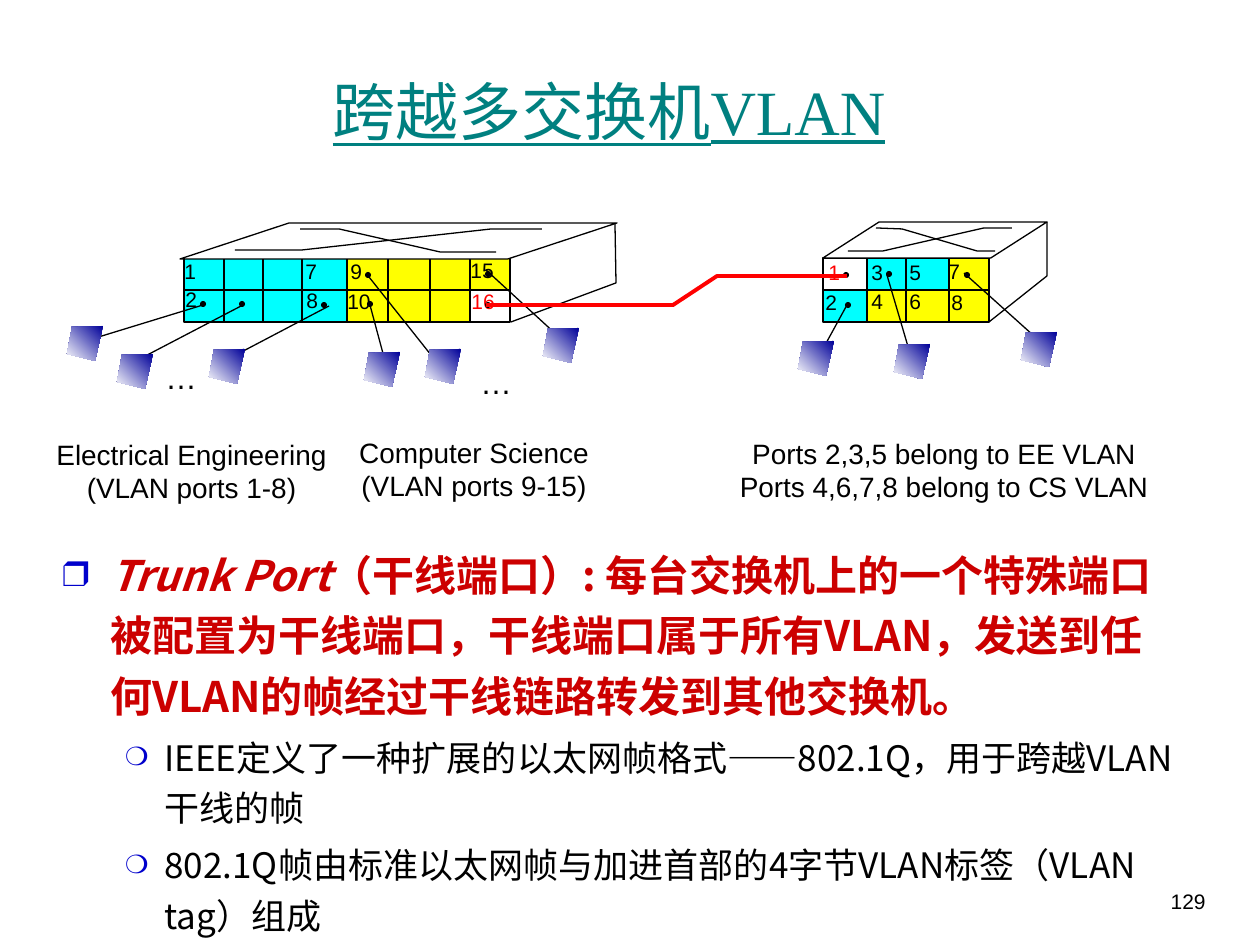
from dataclasses import dataclass
from typing import NamedTuple

from lxml.etree import SubElement
from pptx import Presentation
from pptx.dml.color import RGBColor
from pptx.enum.shapes import MSO_CONNECTOR, MSO_SHAPE
from pptx.enum.text import MSO_ANCHOR, MSO_AUTO_SIZE, PP_ALIGN
from pptx.oxml.ns import qn
from pptx.util import Pt

SCALE = 914400 / 126  # EMU in one px


@dataclass(frozen=True)
class Theme:
    black: str = "000000"
    white: str = "FFFFFF"
    cyan: str = "00FFFF"
    yellow: str = "FFFF00"
    red: str = "FF0000"
    navy: str = "000099"
    title: str = "008080"
    emphasis: str = "CC0000"
    bullet: str = "0000CC"
    sans: str = "Arial"
    serif: str = "Times New Roman"
    chinese: str = "Noto Sans CJK SC"
    title_size: int = 36
    lead_size: int = 24
    body_size: int = 20
    ellipsis_size: int = 18
    caption_size: int = 16
    small_size: int = 12
    thin: float = 0.75
    thick: float = 2.25


THEME = Theme()


class Point(NamedTuple):
    x: int
    y: int


class Box(NamedTuple):
    left: int
    top: int
    width: int
    height: int


class Cells(NamedTuple):
    """A filled block of ports, by column and row boundary."""
    first_column: int
    last_column: int
    first_row: int
    last_row: int
    color: str


@dataclass(frozen=True)
class Switch:
    columns: tuple
    rows: tuple
    first_divider: int
    cells: tuple
    roof: Box
    slant: float
    open_lines: tuple


class Station(NamedTuple):
    dot: Point
    wire_start: Point
    wire_end: Point
    computer: Point


class Label(NamedTuple):
    text: str
    left: int
    top: int
    color: str = THEME.black


class Item(NamedTuple):
    runs: tuple  # (text, italic)
    level: int
    bullet: str
    bullet_percent: int
    margin: int
    hanging: int
    size: int
    color: str
    bold: bool
    space_before: int


def px(value: float) -> int:
    return round(value * SCALE)


def style_shape(shape, fill=None, line=None, width=THEME.thin) -> None:
    shape.shadow.inherit = False
    if fill:
        shape.fill.solid()
        shape.fill.fore_color.rgb = RGBColor.from_string(fill)
    else:
        shape.fill.background()
    if line:
        shape.line.color.rgb = RGBColor.from_string(line)
        shape.line.width = Pt(width)
    else:
        shape.line.fill.background()


def add_preset(slide, kind, box: Box, **style):
    shape = slide.shapes.add_shape(kind, *map(px, box))
    style_shape(shape, **style)
    return shape


def add_outline(slide, points, close=False, **style):
    builder = slide.shapes.build_freeform(*points[0], scale=SCALE)
    builder.add_line_segments(points[1:], close=close)
    shape = builder.convert_to_shape()
    style_shape(shape, **style)
    return shape


def add_line(slide, start, end, joined=None, sites=(0, 2)) -> None:
    line = slide.shapes.add_connector(MSO_CONNECTOR.STRAIGHT, *map(px, (*start, *end)))
    line.line.color.rgb = RGBColor.from_string(THEME.black)
    line.line.width = Pt(THEME.thin)
    SubElement(line._element.spPr, qn("a:effectLst"))
    if joined is not None:
        line.begin_connect(joined, sites[0])
        line.end_connect(joined, sites[1])


def add_run(paragraph, text, *, size, color, font=THEME.sans, bold=False,
            italic=False, underline=False) -> None:
    run = paragraph.add_run()
    run.text = text
    run.font.size, run.font.name = Pt(size), font
    run.font.bold, run.font.italic, run.font.underline = bold, italic, underline
    run.font.color.rgb = RGBColor.from_string(color)
    east_asian = THEME.chinese if font != THEME.sans else font
    SubElement(run._r.get_or_add_rPr(), qn("a:ea"), typeface=east_asian)


def add_text(slide, text, box: Box, *, align=PP_ALIGN.LEFT, anchor=MSO_ANCHOR.TOP,
             wrap=False, color=THEME.black, **font):
    shape = slide.shapes.add_textbox(*map(px, box))
    frame = shape.text_frame
    frame.word_wrap, frame.vertical_anchor = wrap, anchor
    frame.auto_size = MSO_AUTO_SIZE.NONE if wrap else MSO_AUTO_SIZE.SHAPE_TO_FIT_TEXT
    for index, line in enumerate(text.split("\n")):
        paragraph = frame.paragraphs[0] if index == 0 else frame.add_paragraph()
        paragraph.alignment = align
        if line:
            add_run(paragraph, line, color=color, **font)
    return shape


def add_items(slide, items, box: Box) -> None:
    frame = add_text(slide, "", box, wrap=True).text_frame
    for index, item in enumerate(items):
        paragraph = frame.paragraphs[0] if index == 0 else frame.add_paragraph()
        paragraph.level, paragraph.line_spacing = item.level, 1.2
        paragraph.space_before = Pt(item.space_before)
        properties = paragraph._p.get_or_add_pPr()
        properties.set("marL", str(px(item.margin)))
        properties.set("indent", str(-px(item.hanging)))
        SubElement(SubElement(properties, qn("a:buClr")), qn("a:srgbClr"), val=THEME.bullet)
        SubElement(properties, qn("a:buSzPct"), val=str(item.bullet_percent * 1000))
        SubElement(properties, qn("a:buFont"), typeface=THEME.serif)
        SubElement(properties, qn("a:buChar"), char=item.bullet)
        for text, italic in item.runs:
            add_run(paragraph, text, size=item.size, color=item.color,
                    font=THEME.chinese, bold=item.bold, italic=italic)


def add_switch(slide, switch: Switch) -> None:
    columns, rows = switch.columns, switch.rows
    for cells in switch.cells:
        left, top = columns[cells.first_column], rows[cells.first_row]
        box = Box(left, top, columns[cells.last_column] - left, rows[cells.last_row] - top)
        add_preset(slide, MSO_SHAPE.RECTANGLE, box, fill=cells.color)
    front = add_preset(slide, MSO_SHAPE.RECTANGLE, Box(
        columns[0], rows[0], columns[-1] - columns[0], rows[-1] - rows[0]), line=THEME.black)
    add_line(slide, (columns[0], rows[1]), (columns[-1], rows[1]), front, (1, 3))
    for x in columns[switch.first_divider:-1]:
        is_middle = 2 * x == columns[0] + columns[-1]
        add_line(slide, (x, rows[0]), (x, rows[-1]), front if is_middle else None)
    roof = add_preset(slide, MSO_SHAPE.PARALLELOGRAM, switch.roof,
                      fill=THEME.white, line=THEME.black)
    roof.adjustments[0] = switch.slant
    for points in switch.open_lines:
        add_outline(slide, points, line=THEME.black)


def add_dot(slide, corner: Point) -> None:
    add_preset(slide, MSO_SHAPE.OVAL, Box(*corner, 6, 6), fill=THEME.black)


def add_computer(slide, corner: Point) -> None:
    offsets = ((36, 0), (5, 1), (0, 28), (28, 35))
    shape = add_outline(slide, [(corner.x + x, corner.y + y) for x, y in offsets], close=True)
    shape.fill.gradient()
    shape.fill.gradient_angle = 225
    for stop, color in zip(shape.fill.gradient_stops, (THEME.navy, THEME.white)):
        stop.color.rgb = RGBColor.from_string(color)


C, Y = THEME.cyan, THEME.yellow
SWITCHES = (
    Switch((184, 224, 263, 302, 347, 388, 430, 470, 510), (258, 290, 322), 0,
           (Cells(0, 1, 0, 1, C), Cells(0, 1, 1, 2, C), Cells(1, 4, 0, 2, C),
            Cells(4, 7, 0, 2, Y), Cells(7, 8, 0, 1, Y)),
           Box(180, 223, 437, 36), 3.03,
           (((511, 322), (616, 283), (615, 223)),
            ((235, 250), (302, 250), (491, 229), (542, 229)),
            ((300, 229), (339, 229), (440, 252), (496, 252)))),
    Switch((823, 867, 906, 949, 989), (258, 290, 322), 1,
           (Cells(0, 1, 1, 2, C), Cells(1, 2, 0, 1, C), Cells(1, 2, 1, 2, Y),
            Cells(2, 3, 0, 1, C), Cells(2, 3, 1, 2, Y), Cells(3, 4, 0, 1, Y),
            Cells(3, 4, 1, 2, Y)),
           Box(823, 222, 224, 36), 1.56,
           (((1047, 222), (1047, 276), (989, 322)),
            ((848, 251), (883, 251), (984, 228), (1012, 228)),
            ((876, 228), (902, 229), (977, 251), (995, 251)))),
)
STATIONS = [Station(*(Point(*pair) for pair in row)) for row in (
    ((200, 301), (203, 305), (79, 343), (67, 326)),
    ((239, 301), (243, 305), (132, 363), (117, 354)),
    ((321, 302), (329, 306), (232, 357), (209, 349)),
    ((367, 301), (370, 305), (384, 357), (364, 352)),
    ((365, 272), (369, 277), (435, 360), (425, 349)),
    ((485, 271), (486, 270), (558, 336), (543, 328)),
    ((845, 302), (847, 305), (824, 347), (798, 341)),
    ((886, 271), (887, 275), (912, 360), (894, 344)),
    ((964, 272), (964, 273), (1034, 336), (1021, 332)),
)]
LABELS = (
    Label("1", 172, 252), Label("2", 173, 280), Label("7", 293, 252), Label("8", 294, 281),
    Label("9", 338, 252), Label("10", 335, 282), Label("15", 458, 251),
    Label("16", 459, 282, THEME.red), Label("1", 816, 253, THEME.red), Label("2", 813, 283),
    Label("3", 859, 253), Label("4", 859, 282), Label("5", 897, 253), Label("6", 897, 282),
    Label("7", 936, 252), Label("8", 939, 283),
)
CAPTIONS = (
    ("Electrical Engineering\n(VLAN ports 1-8)", Box(42, 431, 299, 81)),
    ("Computer Science\n(VLAN ports 9-15)", Box(345, 429, 258, 81)),
    ("Ports 2,3,5 belong to EE VLAN\nPorts 4,6,7,8 belong to CS VLAN", Box(725, 430, 438, 81)),
)
LEAD = (("Trunk Port", True), ("（干线端口）: 每台交换机上的一个特殊端口被配置为干线端口，"
        "干线端口属于所有VLAN，发送到任何VLAN的帧经过干线链路转发到其他交换机。", False))
DETAILS = ("IEEE定义了一种扩展的以太网帧格式——802.1Q，用于跨越VLAN干线的帧",
           "802.1Q帧由标准以太网帧与加进首部的4字节VLAN标签（VLAN tag）组成")
ITEMS = [Item(LEAD, 0, "❒", 85, 48, 48, THEME.lead_size, THEME.emphasis, True, 0)] + [
    Item(((text, False),), 1, "❍", 75, 102, 39, THEME.body_size, THEME.black, False, 4)
    for text in DETAILS]


def main() -> None:
    presentation = Presentation()
    presentation.slide_width, presentation.slide_height = px(1260), px(945)
    slide = presentation.slides.add_slide(presentation.slide_layouts[6])

    # Title, body and page number
    add_text(slide, "跨越多交换机VLAN", Box(35, 31, 1148, 158), wrap=True,
             align=PP_ALIGN.CENTER, anchor=MSO_ANCHOR.MIDDLE, size=THEME.title_size,
             color=THEME.title, font=THEME.serif, underline=True)
    add_items(slide, ITEMS, Box(50, 533, 1143, 399))
    add_text(slide, "129", Box(1125, 882, 93, 63), wrap=True, align=PP_ALIGN.RIGHT,
             size=THEME.small_size)

    # Switches with port numbers
    for switch in SWITCHES:
        add_switch(slide, switch)
    for label in LABELS:
        add_text(slide, label.text, Box(label.left, label.top, 25 + 12 * len(label.text), 38),
                 size=THEME.small_size, color=label.color)

    # Computers wired to ports
    for station in STATIONS:
        add_line(slide, station.wire_start, station.wire_end)
        add_dot(slide, station.dot)
        add_computer(slide, station.computer)

    # Trunk link
    for corner in (Point(485, 302), Point(843, 272)):
        add_dot(slide, corner)
    add_outline(slide, ((486, 305), (673, 305), (717, 276), (847, 276)),
                line=THEME.red, width=THEME.thick)

    # Captions and ellipses
    for text, box in CAPTIONS:
        add_text(slide, text, box, align=PP_ALIGN.CENTER, size=THEME.caption_size)
    for left, top in ((153, 352), (468, 357)):
        add_text(slide, "…", Box(left, top, 57, 50), size=THEME.ellipsis_size)

    presentation.save("out.pptx")


if __name__ == "__main__":
    main()
